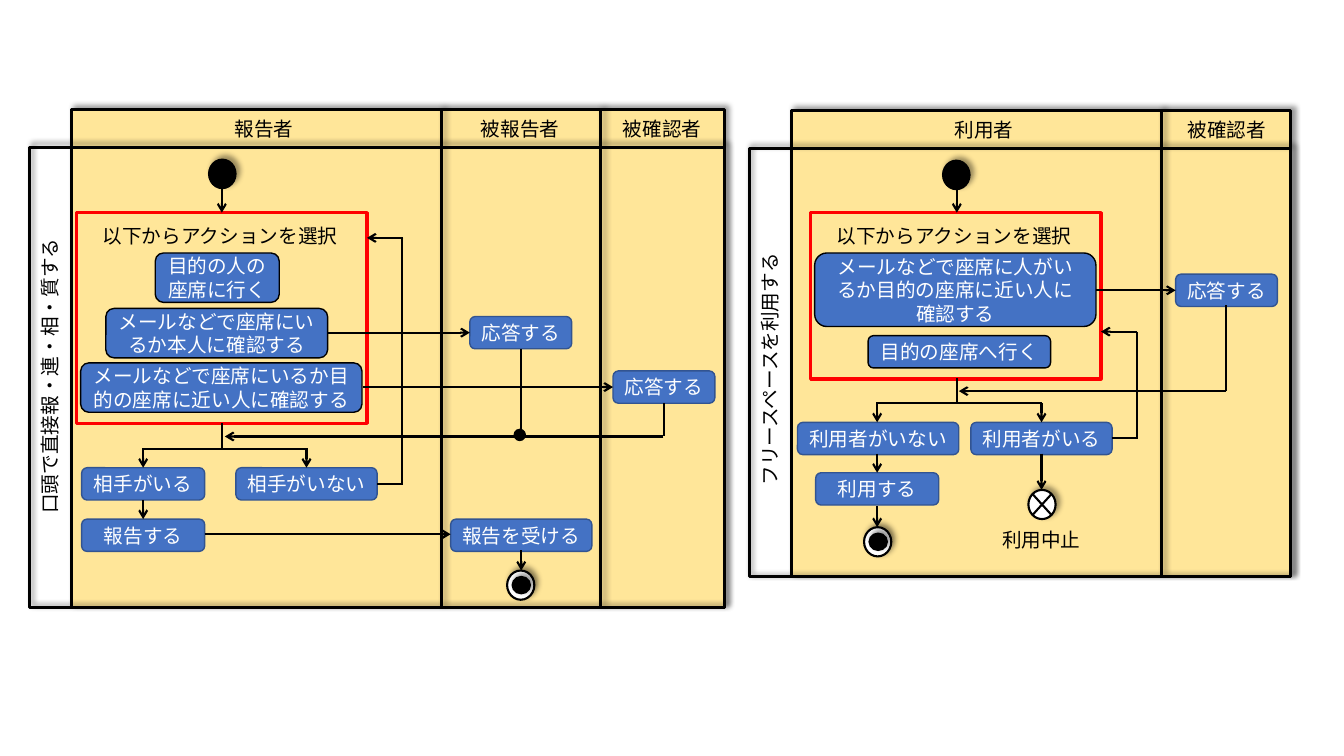
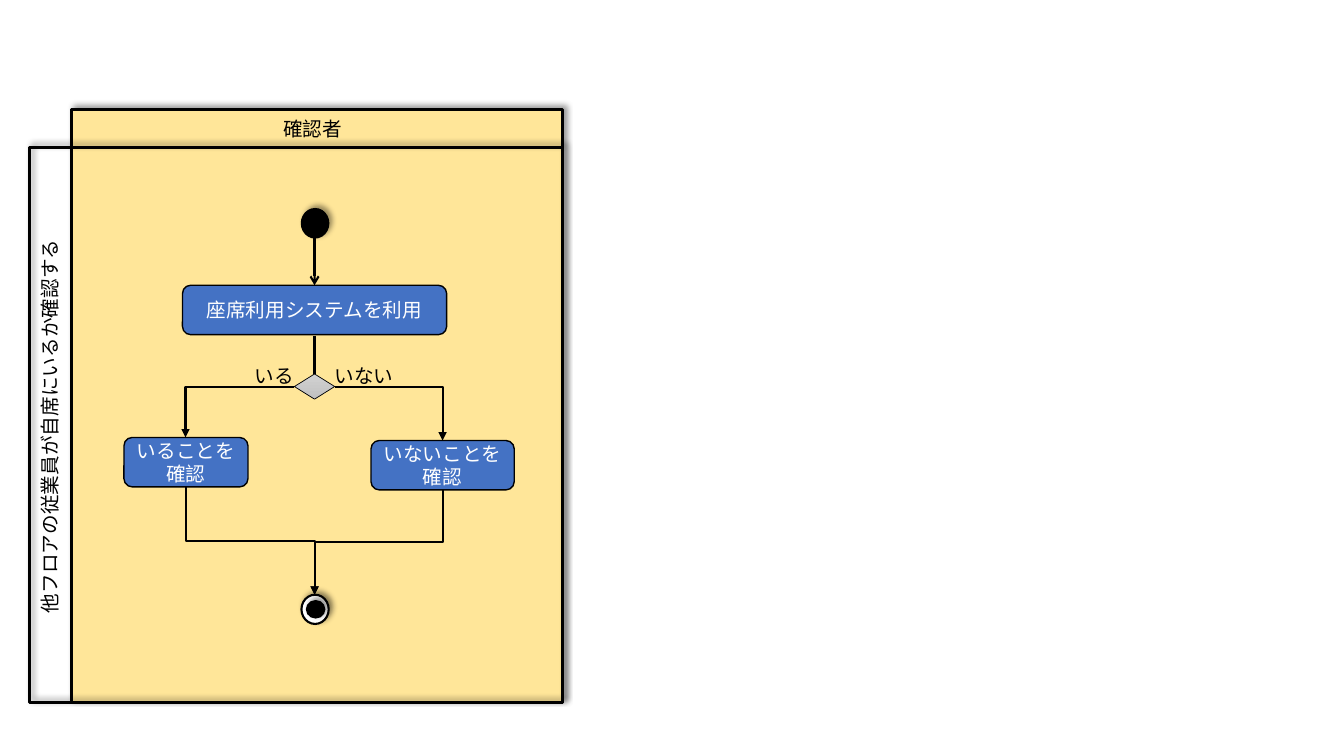
from pptx import Presentation
from pptx.util import Inches, Pt
from pptx.dml.color import RGBColor
from pptx.enum.shapes import MSO_SHAPE, MSO_CONNECTOR
from pptx.enum.text import PP_ALIGN, MSO_ANCHOR
from pptx.oxml import parse_xml
from pptx.oxml.ns import qn
from lxml import etree

RECT, ROUND = MSO_SHAPE.RECTANGLE, MSO_SHAPE.ROUNDED_RECTANGLE
OVAL, GEM = MSO_SHAPE.OVAL, MSO_SHAPE.DIAMOND
LINE, BENT = MSO_CONNECTOR.STRAIGHT, MSO_CONNECTOR.ELBOW
LEFT, MID = PP_ALIGN.LEFT, PP_ALIGN.CENTER
TOP, HALF = MSO_ANCHOR.TOP, MSO_ANCHOR.MIDDLE

FONT = "Noto Sans CJK JP"
HUES = {"ink": "000000", "white": "FFFFFF", "lane": "FFE699", "step": "4472C4",
        "edge": "325491", "red": "FF0000", "light": "D2D2D2", "dark": "C0C0C0"}
TONE = {name: RGBColor.from_string(code) for name, code in HUES.items()}
SPACE = 'xmlns:a="http://schemas.openxmlformats.org/drawingml/2006/main"'
BARE = f"<a:effectLst {SPACE}/>"
SOFT = (f'<a:effectLst {SPACE}><a:outerShdw blurRad="50800" dist="38100" dir="18900000" '
        f'algn="bl" rotWithShape="0"><a:srgbClr val="{HUES["ink"]}"><a:alpha val="40000"/>'
        '</a:srgbClr></a:outerShdw></a:effectLst>')

deck = Presentation()
deck.slide_width, deck.slide_height = Inches(13.33), Inches(7.5)
COL, ROW = deck.slide_width / 13.33, deck.slide_height / 7.5
one, two = [deck.slides.add_slide(deck.slide_layouts[6]) for _ in range(2)]


def node(page, form, x, y, w, h, fill=None, edge="ink", thick=1, words="", soft=False):
    spot = [int(v) for v in (x * COL, y * ROW, w * COL, h * ROW)]
    if form is None:
        part = page.shapes.add_textbox(*spot)
    else:
        part = page.shapes.add_shape(form, *spot)
        if fill:
            part.fill.solid()
            part.fill.fore_color.rgb = TONE[fill]
        else:
            part.fill.background()
        part.line.color.rgb = TONE[edge]
        part.line.width = Pt(thick)
        part.shadow.inherit = False
        if soft:
            bare = part._element.spPr.find(qn("a:effectLst"))
            bare.getparent().replace(bare, parse_xml(SOFT))
    if words:
        frame = part.text_frame
        frame.word_wrap = True
        frame.vertical_anchor = HALF if form else TOP
        para = frame.paragraphs[0]
        para.alignment = MID if form else LEFT
        run = para.add_run()
        run.text = words
        run.font.size = Pt(14)
        run.font.name = FONT
        run.font.color.rgb = TONE["white" if form else "ink"]
        etree.SubElement(run._r.get_or_add_rPr(), qn("a:ea"), typeface=FONT)
    return part


def wire(page, x1, y1, x2, y2, tip=None, thick=1.5, form=LINE, soft=False):
    part = page.shapes.add_connector(
        form, int(x1 * COL), int(y1 * ROW), int(x2 * COL), int(y2 * ROW))
    part.line.color.rgb = TONE["ink"]
    part.line.width = Pt(thick)
    if tip:
        etree.SubElement(part.line._get_or_add_ln(), qn("a:tailEnd"), type=tip)
    part._element.spPr.append(parse_xml(SOFT if soft else BARE))
    return part


lanes = [
    (one, 0.71, 1.09, 6.48, 4.94, [4.38, 5.96],
     [("報告者", 2.23, 0.8), ("被報告者", 4.67, 1), ("被確認者", 6.08, 1)],
     "口頭で直接報・連・相・質する", 3.72, 2.95),
    (one, 7.85, 1.1, 4.95, 4.62, [11.52],
     [("利用者", 9.37, 0.8), ("被確認者", 11.68, 1)],
     "フリースペースを利用する", 3.62, 2.59),
    (two, 0.71, 1.09, 4.87, 5.88, [], [("確認者", 2.71, 0.8)],
     "他フロアの従業員が自席にいるか確認する", 4.22, 3.92),
]
for page, x, y, w, h, cuts, heads, side, mid, span in lanes:
    node(page, RECT, x, y, w, h, "lane", thick=2.25, soft=True)
    for cut in cuts:
        wire(page, cut, y, cut, y + h, thick=2.25, soft=True)
    node(page, RECT, x - 0.42, y + 0.37, w + 0.42, h - 0.37, thick=2.25, soft=True)
    for words, left, wide in heads:
        node(page, None, left, y + 0.02, wide, 0.34, words=words)
    name = node(page, None, x - 0.21 - span / 2, mid - 0.17, span, 0.34, words=side)
    name.rotation = 270

for x, y, h in [(0.76, 2.11, 2.09), (8.04, 2.11, 1.65)]:
    node(one, RECT, x, y, 2.88, h, edge="red", thick=2.25)

for page, x, y, w, words in [
        (one, 0.92, 2.17, 2.55, "以下からアクションを選択"),
        (one, 8.2, 2.17, 2.55, "以下からアクションを選択"),
        (one, 9.84, 5.19, 1, "利用中止"),
        (two, 2.43, 3.56, 0.59, "いる"),
        (two, 3.22, 3.56, 0.79, "いない")]:
    node(page, None, x, y, w, 0.3, words=words)

for page, x, y, w, h, words in [
        (one, 1.54, 2.51, 1.23, 0.49, "目的の人の座席に行く"),
        (one, 1.05, 3.06, 2.2, 0.49, "メールなどで座席にいるか本人に確認する"),
        (one, 0.8, 3.6, 2.79, 0.49, "メールなどで座席にいるか目的の座席に近い人に確認する"),
        (one, 8.08, 2.51, 2.79, 0.73, "メールなどで座席に人がいるか目的の座席に近い人に確認する"),
        (one, 8.61, 3.33, 1.81, 0.32, "目的の座席へ行く"),
        (two, 1.23, 4.34, 1.23, 0.49, "いることを確認"),
        (two, 3.68, 4.37, 1.42, 0.49, "いないことを確認"),
        (two, 1.81, 2.83, 2.62, 0.49, "座席利用システムを利用")]:
    node(page, ROUND, x, y, w, h, "step", words=words)

for x, y, w, words in [
        (0.81, 4.64, 1.22, "相手がいる"), (2.34, 4.64, 1.4, "相手がいない"),
        (0.81, 5.15, 1.22, "報告する"), (4.47, 5.15, 1.4, "報告を受ける"),
        (4.66, 3.14, 1.01, "応答する"), (6.08, 3.68, 1.01, "応答する"),
        (11.66, 2.72, 1.01, "応答する"), (7.91, 4.19, 1.6, "利用者がいない"),
        (9.63, 4.19, 1.4, "利用者がいる"), (8.09, 4.69, 1.22, "利用する")]:
    node(one, ROUND, x, y, w, 0.32, "step", "edge", words=words)

for page, x, y in [(one, 2.07, 1.58), (one, 9.35, 1.59), (two, 2.99, 2.07)]:
    node(page, OVAL, x, y, 0.27, 0.29, "ink", soft=True)
for page, x, y in [(one, 5.03, 5.66), (one, 8.57, 5.23), (two, 2.99, 5.9)]:
    node(page, OVAL, x, y, 0.27, 0.29, "white", thick=1.5, soft=True)
    node(page, OVAL, x + 0.05, y + 0.06, 0.18, 0.17, "ink", soft=True)
node(one, OVAL, 10.2, 4.86, 0.27, 0.29, "white", thick=1.5, soft=True)
node(one, OVAL, 5.1, 4.26, 0.11, 0.11, "ink")

for page, x1, y1, x2, y2 in [
        (one, 2.2, 1.87, 2.2, 2.11), (one, 1.42, 4.45, 1.42, 4.64),
        (one, 3.04, 4.45, 3.04, 4.64), (one, 1.42, 4.96, 1.42, 5.15),
        (one, 4, 2.36, 3.64, 2.36), (one, 2.03, 5.3, 4.47, 5.3),
        (one, 3.25, 3.3, 4.66, 3.3), (one, 3.6, 3.84, 6.08, 3.84),
        (one, 5.17, 5.46, 5.17, 5.66), (one, 6.58, 4.33, 2.23, 4.33),
        (one, 9.49, 1.88, 9.49, 2.11), (one, 8.7, 4, 8.7, 4.19),
        (one, 10.33, 4, 10.33, 4.19), (one, 8.7, 4.5, 8.7, 4.69),
        (one, 11.28, 3.29, 10.92, 3.29), (one, 10.87, 2.88, 11.66, 2.88),
        (one, 8.7, 5.02, 8.7, 5.23), (one, 12.16, 3.88, 9.51, 3.88),
        (one, 10.33, 4.5, 10.33, 4.86), (two, 3.12, 2.36, 3.12, 2.83)]:
    wire(page, x1, y1, x2, y2, "arrow")

for page, x1, y1, x2, y2 in [
        (one, 2.2, 4.2, 2.2, 4.45), (one, 3.05, 4.45, 1.41, 4.45),
        (one, 3.99, 2.36, 3.99, 4.81), (one, 3.99, 4.8, 3.74, 4.8),
        (one, 5.17, 3.46, 5.17, 4.33), (one, 6.59, 4, 6.59, 4.33),
        (one, 9.49, 3.75, 9.49, 4), (one, 10.33, 4, 8.69, 4),
        (one, 11.28, 3.29, 11.28, 4.36), (one, 11.28, 4.35, 11.03, 4.35),
        (one, 12.16, 3.03, 12.16, 3.88), (one, 10.24, 4.9, 10.43, 5.11),
        (one, 10.24, 5.11, 10.43, 4.9), (two, 3.12, 3.33, 3.12, 3.71)]:
    wire(page, x1, y1, x2, y2)

for x1, x2, y2 in [(3.32, 4.39, 4.37), (2.92, 1.84, 4.34)]:
    fork = wire(two, x1, 3.84, x2, y2, "triangle", form=BENT)
    fork._element.spPr.find(qn("a:prstGeom")).set("prst", "bentConnector2")

for x, y, turn in [(4.39, 4.86, 90), (1.84, 4.83, 270)]:
    tall, wide = 5.9 - y, abs(x - 3.12)
    midx, midy = (x + 3.12) / 2, (y + 5.9) / 2
    way = 1 if turn == 90 else -1
    join = wire(two, midx - way * tall / 2, midy - wide / 2,
                midx + way * tall / 2, midy + wide / 2, "triangle", form=BENT)
    join.rotation = turn

gem = node(two, GEM, 2.92, 3.71, 0.4, 0.25, "light", thick=0.5)
gem.fill.gradient()
gem.fill.gradient_angle = 270
for stop, name in zip(gem.fill.gradient_stops, ["light", "dark"]):
    stop.color.rgb = TONE[name]

deck.save("out.pptx")
